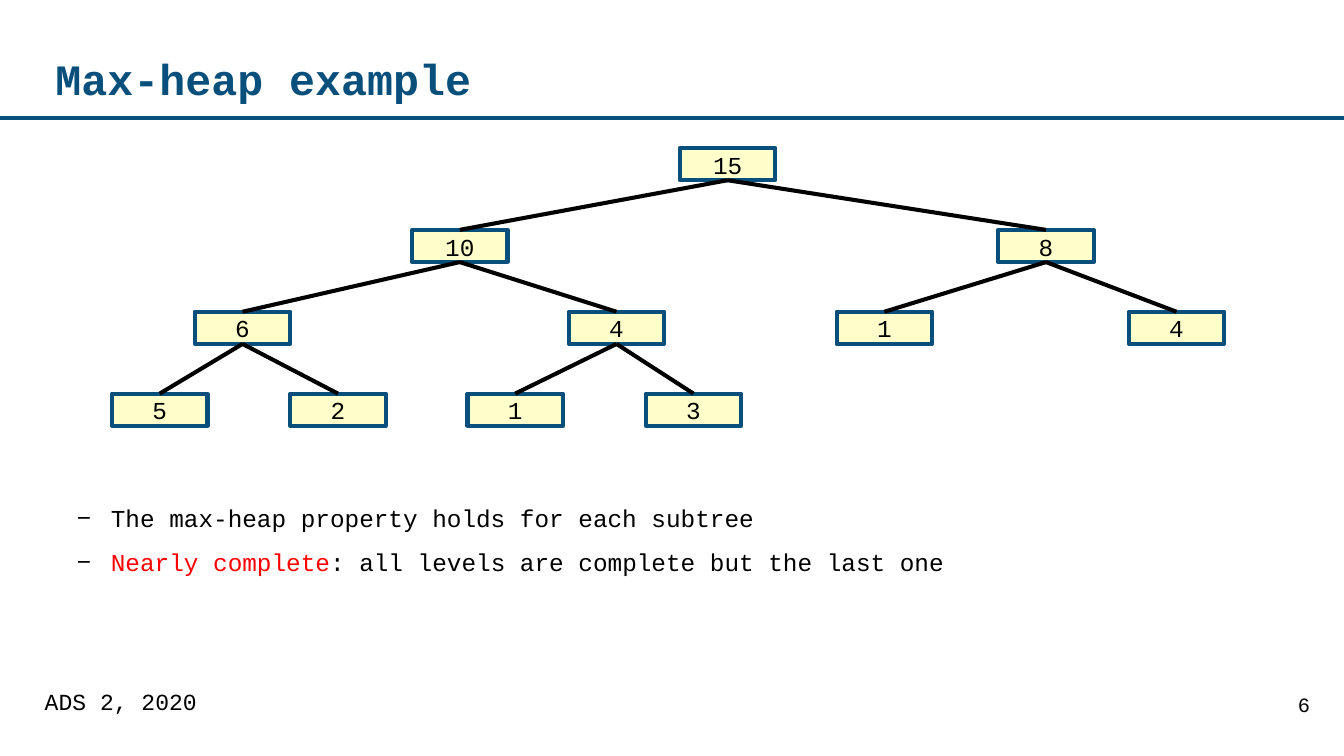
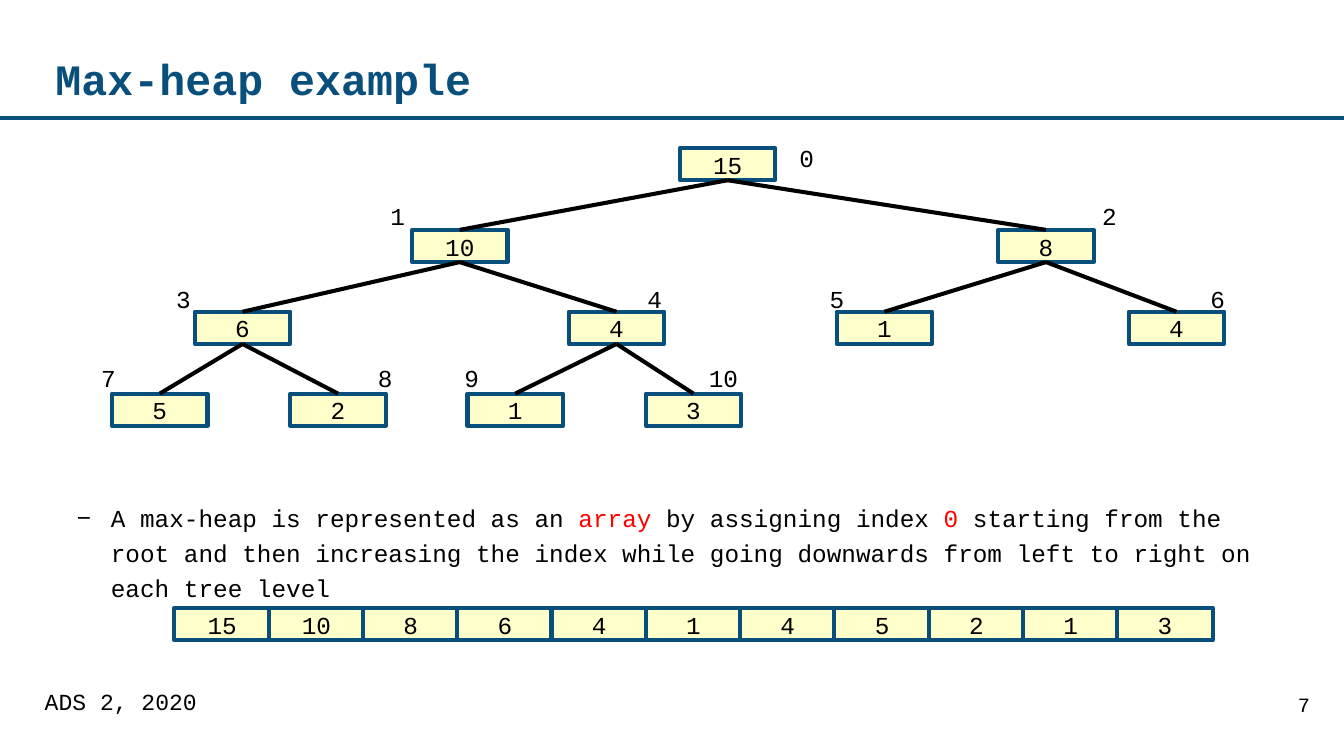
from lxml import etree
from pptx import Presentation
from pptx import util as u
from pptx.dml.color import RGBColor
from pptx.enum import shapes, text
from pptx.oxml.ns import qn

WIDTH, HEIGHT = 993.6, 558.72
NODE_W, NODE_H = 70.6, 23.8

# The heap in array order, with the left edge of each tree node
HEAP = [15, 10, 8, 6, 4, 1, 4, 5, 2, 1, 3]
NODE_LEFTS = [502.6, 304.6, 738, 144, 420.5, 618.5, 834.5,
              82.8, 214.6, 345.6, 477.4]
TREE_TOP, LEVEL_STEP = 109.4, 60.5

# Index labels: left edges by index, top edges by tree level
INDEX_LEFTS = [583.9, 281.5, 807.8, 123.1, 471.6, 606.2, 887.8,
               67.7, 272.2, 336.2, 517]
INDEX_TOPS = [102.2, 145.4, 206.6, 265]

ARRAY_LEFT, ARRAY_TOP, ARRAY_STEP = 128.9, 449.3, 69.7


def rgb(value):
    return RGBColor.from_string(value)


def level(index):
    return (index + 1).bit_length() - 1


class Deck:
    FONT = "Courier New"
    BLUE, CREAM, BLACK, RED = "094F7B", "FFFFCC", "000000", "FF0000"

    def __init__(self):
        self.prs = Presentation()
        self.prs.slide_width = u.Pt(WIDTH)
        self.prs.slide_height = u.Pt(HEIGHT)
        self.slide = None

    def new_slide(self, title, number):
        """Start a slide with the shared title, rule and footer."""
        self.slide = self.prs.slides.add_slide(self.prs.slide_layouts[1])
        self.line((0, 87.1), (WIDTH, 87.1), self.BLUE, 2.75)
        frame = self.placeholder(self.slide.shapes.title, 41, 25.2, 848.2, 64)
        frame.vertical_anchor = text.MSO_ANCHOR.MIDDLE
        frame.text = title
        self.style(frame.paragraphs[0], 32, self.BLUE, True, spacing=1.04)
        self.label(number, 816.5, 508.3, 160.6, 38.2, 15, (8.6, 4.3),
                   text.PP_ALIGN.RIGHT, 0.96)
        self.label("ADS 2, 2020", 25.2, 508.3, 628.6, 38.2, 17, (7.9, 3.6),
                   spacing=0.82)

    def placeholder(self, holder, left, top, width, height):
        holder.left, holder.top = u.Pt(left), u.Pt(top)
        holder.width, holder.height = u.Pt(width), u.Pt(height)
        frame = holder.text_frame
        frame.auto_size = text.MSO_AUTO_SIZE.NONE
        self.insets(frame, 0, 0, 0, 0)
        return frame

    def insets(self, frame, left, top, right, bottom):
        frame.margin_left, frame.margin_top = u.Pt(left), u.Pt(top)
        frame.margin_right, frame.margin_bottom = u.Pt(right), u.Pt(bottom)

    def style(self, paragraph, size, color=BLACK, bold=False,
              align=text.PP_ALIGN.LEFT, spacing=1.0):
        paragraph.alignment = align
        paragraph.line_spacing = spacing
        for run in paragraph.runs:
            run.font.name, run.font.size = self.FONT, u.Pt(size)
            run.font.bold = bold
            run.font.color.rgb = rgb(color)

    def bullets(self, items):
        """Fill the body; each item is a list of plain and red parts in turn."""
        frame = self.placeholder(self.slide.placeholders[1],
                                 41, 367.8, 910.8, 78)
        for i, parts in enumerate(items):
            paragraph = frame.add_paragraph() if i else frame.paragraphs[0]
            for part in parts:
                paragraph.add_run().text = part
            self.style(paragraph, 18, spacing=1.2)
            for run in paragraph.runs[1::2]:
                run.font.color.rgb = rgb(self.RED)
            paragraph.space_before, paragraph.space_after = u.Pt(0), u.Pt(6.4)
            props = paragraph._p.get_or_add_pPr()
            props.set("marL", str(u.Pt(41)))
            props.set("indent", str(u.Pt(-25.2)))
            color = etree.SubElement(props, qn("a:buClr"))
            etree.SubElement(color, qn("a:srgbClr")).set("val", self.BLACK)
            etree.SubElement(props, qn("a:buChar")).set("char", "−")

    def label(self, words, left, top, width, height, size, inset=(7.2, 3.6),
              align=text.PP_ALIGN.LEFT, spacing=1.0):
        box = self.slide.shapes.add_textbox(
            u.Pt(left), u.Pt(top), u.Pt(width), u.Pt(height))
        frame = box.text_frame
        frame.word_wrap = True
        self.insets(frame, *inset, *inset)
        frame.text = str(words)
        self.style(frame.paragraphs[0], size, align=align, spacing=spacing)

    def node(self, value, left, top):
        box = self.slide.shapes.add_shape(
            shapes.MSO_SHAPE.RECTANGLE,
            u.Pt(left), u.Pt(top), u.Pt(NODE_W), u.Pt(NODE_H))
        box.shadow.inherit = False
        box.fill.solid()
        box.fill.fore_color.rgb = rgb(self.CREAM)
        box.line.color.rgb = rgb(self.BLUE)
        box.line.width = u.Pt(3)
        frame = box.text_frame
        frame.word_wrap = False
        frame.vertical_anchor = text.MSO_ANCHOR.MIDDLE
        self.insets(frame, 7.2, 7.2, 7.2, 2.9)
        frame.text = str(value)
        self.style(frame.paragraphs[0], 18, align=text.PP_ALIGN.CENTER,
                   spacing=0.82)
        return box

    def line(self, start, end, color, width):
        rule = self.slide.shapes.add_connector(
            shapes.MSO_CONNECTOR.STRAIGHT, *map(u.Pt, start + end))
        rule.line.color.rgb = rgb(color)
        rule.line.width = u.Pt(width)
        etree.SubElement(rule._element.spPr, qn("a:effectLst"))
        return rule

    def edge(self, parent, child):
        branch = self.line((0, 0), (0, 0), self.BLACK, 3)
        branch.begin_connect(parent, 2)
        branch.end_connect(child, 0)

    def tree(self):
        """Draw the heap; the parent of node i is node (i - 1) // 2."""
        nodes = [self.node(value, left, TREE_TOP + LEVEL_STEP * level(i))
                 for i, (value, left) in enumerate(zip(HEAP, NODE_LEFTS))]
        for i, child in enumerate(nodes[1:], 1):
            self.edge(nodes[(i - 1) // 2], child)

    def indexes(self):
        for i, left in enumerate(INDEX_LEFTS):
            self.label(i, left, INDEX_TOPS[level(i)],
                       21.6 if i < 10 else 38.2, 28.8, 18)

    def array(self):
        for i, value in enumerate(HEAP):
            self.node(value, ARRAY_LEFT + ARRAY_STEP * i, ARRAY_TOP)


def main():
    deck = Deck()

    # The tree and its properties
    deck.new_slide("Max-heap example", 6)
    deck.bullets([
        ["The max-heap property holds for each subtree"],
        ["", "Nearly complete", ": all levels are complete but the last one"],
    ])
    deck.tree()

    # The tree with indexes, stored as an array
    deck.new_slide("Max-heap example", 7)
    deck.bullets([
        ["A max-heap is represented as an ", "array",
         " by assigning index ", "0",
         " starting from the root and then increasing the index while going"
         " downwards from left to right on each tree level"],
    ])
    deck.array()
    deck.tree()
    deck.indexes()

    deck.prs.save("out.pptx")


if __name__ == "__main__":
    main()
